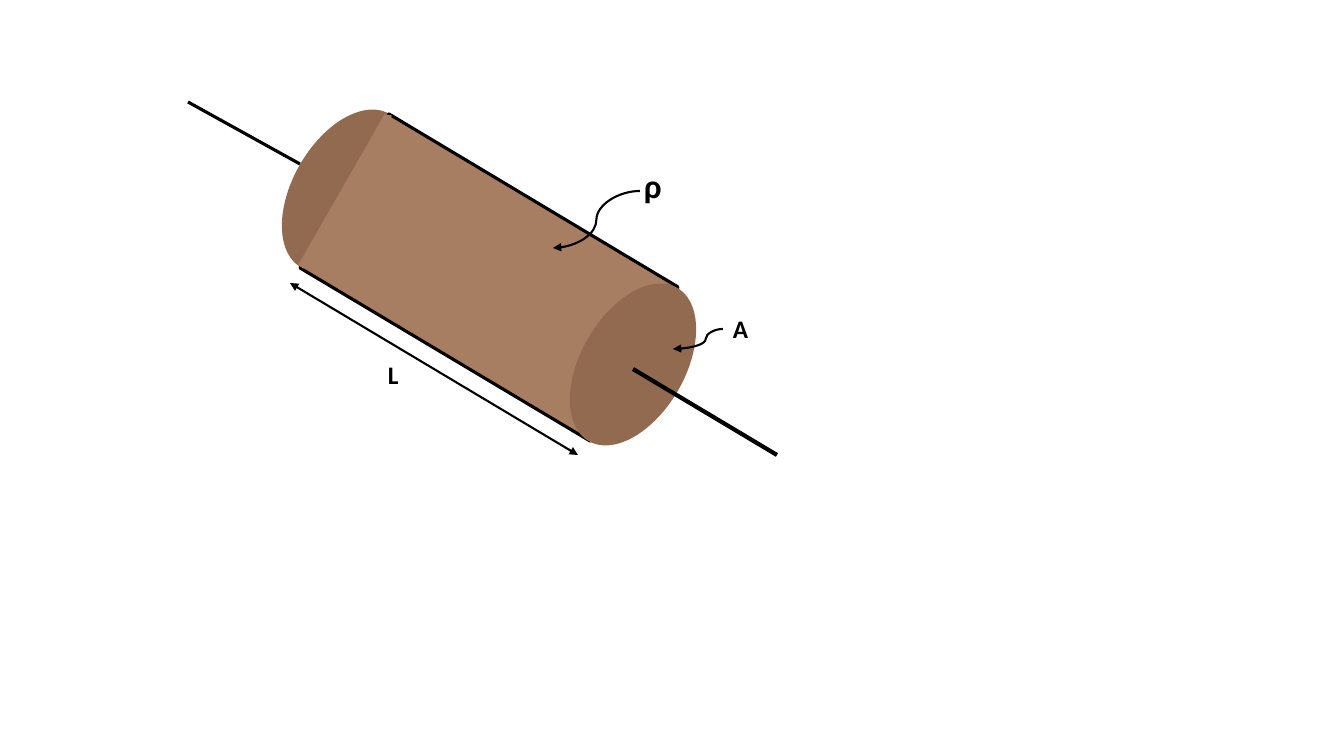
from dataclasses import dataclass

from lxml.etree import SubElement as Sub
from pptx import Presentation as Deck
from pptx.dml.color import RGBColor as Rgb
from pptx.enum.shapes import MSO_CONNECTOR as Conn, MSO_SHAPE as Form
from pptx.enum.text import MSO_AUTO_SIZE as Fit
from pptx.oxml.ns import qn
from pptx.shapes.base import BaseShape
from pptx.shapes.shapetree import SlideShapes as Shapes
from pptx.util import Emu, Pt

BLACK = Rgb(0x00, 0x00, 0x00)
DARK = Rgb(0x92, 0x6A, 0x50)
LIGHT = Rgb(0xA8, 0x7E, 0x63)
WIDE, HIGH = 1344, 756
SCALE = 12192000 / WIDE
FACE_W, FACE_H, TILT = 104, 177, 30

Point = tuple[int, int]


@dataclass(frozen=True)
class Panel:
    points: tuple[Point, ...]
    edge: Rgb
    weight: float


@dataclass(frozen=True)
class Wire:
    start: Point
    end: Point
    weight: float
    heads: tuple[str, ...] = ()
    curve: bool = False
    bend: int = 50000


@dataclass(frozen=True)
class Label:
    text: str
    box: tuple[int, int, int, int]
    size: int


BACK, FRONT = (345, 190), (633, 364)
BODY = Panel(((300, 268), (590, 441), (678, 287), (389, 114)), BLACK, 2.25)
SEAM = Panel(((299, 265), (304, 268), (391, 116), (385, 115)), LIGHT, 1)
WIRES = (
    Wire((633, 369), (777, 455), 3),
    Wire((188, 102), (300, 164), 2.25),
    Wire((290, 283), (578, 455), 1.5, ("headEnd", "tailEnd")),
    Wire((723, 329), (673, 349), 1.5, ("tailEnd",), True, 34500),
    Wire((640, 191), (553, 248), 1.5, ("tailEnd",), True),
)
LABELS = (
    Label("L", (378, 354, 33, 40), 18),
    Label("A", (723, 308, 60, 40), 18),
    Label("ρ", (634, 160, 60, 50), 24),
)


def px(count: int) -> Emu:
    return Emu(round(count * SCALE))


def paint(shape: BaseShape, fill: Rgb) -> None:
    shape.shadow.inherit = False
    shape.fill.solid()
    shape.fill.fore_color.rgb = fill


def add_face(shapes: Shapes, centre: Point) -> None:
    left, top = centre[0] - FACE_W // 2, centre[1] - FACE_H // 2
    face = shapes.add_shape(Form.OVAL, px(left), px(top), px(FACE_W), px(FACE_H))
    face.rotation = TILT
    paint(face, DARK)
    face.line.fill.background()


def add_panel(shapes: Shapes, panel: Panel) -> None:
    first, *rest = panel.points
    pen = shapes.build_freeform(*first, scale=SCALE)
    pen.add_line_segments(rest, close=True)
    shape = pen.convert_to_shape()
    paint(shape, LIGHT)
    shape.line.color.rgb = panel.edge
    shape.line.width = Pt(panel.weight)


def add_wire(shapes: Shapes, wire: Wire) -> None:
    kind = Conn.CURVE if wire.curve else Conn.STRAIGHT
    line = shapes.add_connector(kind, *map(px, wire.start + wire.end))
    line.line.color.rgb = BLACK
    line.line.width = Pt(wire.weight)
    props = line._element.spPr
    Sub(props, qn("a:effectLst"))
    for head in wire.heads:
        Sub(props.find(qn("a:ln")), qn(f"a:{head}"), type="triangle")
    if wire.curve:
        guides = props.find(qn("a:prstGeom")).find(qn("a:avLst"))
        Sub(guides, qn("a:gd"), name="adj1", fmla=f"val {wire.bend}")


def add_label(shapes: Shapes, label: Label) -> None:
    frame = shapes.add_textbox(*map(px, label.box)).text_frame
    frame.word_wrap = True
    frame.auto_size = Fit.SHAPE_TO_FIT_TEXT
    run = frame.paragraphs[0].add_run()
    run.text = label.text
    style = {"name": "Calibri", "size": Pt(label.size), "bold": True}
    for key, value in style.items():
        setattr(run.font, key, value)
    run.font.color.rgb = BLACK


def main() -> None:
    deck = Deck()
    deck.slide_width, deck.slide_height = px(WIDE), px(HIGH)
    shapes = deck.slides.add_slide(deck.slide_layouts[6]).shapes
    add_face(shapes, BACK)
    add_panel(shapes, BODY)
    add_face(shapes, FRONT)
    add_panel(shapes, SEAM)
    for wire in WIRES:
        add_wire(shapes, wire)
    for label in LABELS:
        add_label(shapes, label)
    deck.save("out.pptx")


if __name__ == "__main__":
    main()
